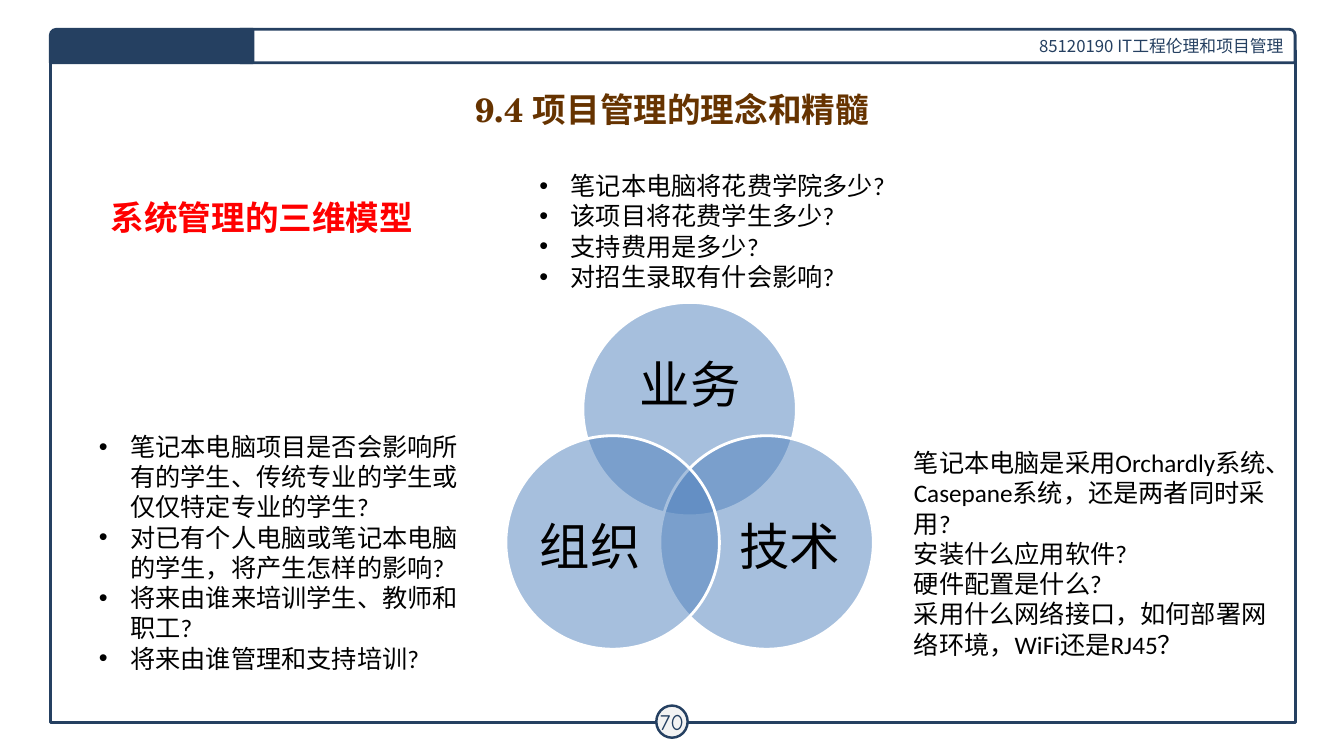
"""Build the slide on the three-sphere model of systems management."""
import math

import lxml.etree
import pptx
import pptx.dml.color
import pptx.enum.shapes
import pptx.enum.text
import pptx.oxml.ns
import pptx.util

Cm = pptx.util.Cm
Pt = pptx.util.Pt
qn = pptx.oxml.ns.qn
KIND = pptx.enum.shapes.MSO_SHAPE
ALIGN = pptx.enum.text.PP_ALIGN
FIT = pptx.enum.text.MSO_AUTO_SIZE
MID = pptx.enum.text.MSO_ANCHOR.MIDDLE
TOP = pptx.enum.text.MSO_ANCHOR.TOP

HUE = {"navy": "254061", "white": "FFFFFF", "pale": "F3F3F3", "brown": "663300",
       "blue": "4F81BD", "black": "000000", "red": "FF0000"}
HAN = "Noto Sans CJK SC"
BODY = {"name": "Calibri", "size": Pt(18), "bold": False}
WORD = {"name": "Calibri", "size": Pt(36), "bold": False}
HEAD = {"name": "TeX Gyre Schola", "size": Pt(24), "bold": True}
NOTE = {"name": "Calibri", "size": Pt(24), "bold": True}
RUN = {"name": HAN, "size": Pt(12), "bold": False}
PAGE = {"name": "Comic Neue", "size": Pt(16), "bold": False}

COST = ["笔记本电脑将花费学院多少?", "该项目将花费学生多少?",
        "支持费用是多少?", "对招生录取有什会影响?"]
STAFF = ["笔记本电脑项目是否会影响所有的学生、传统专业的学生或仅仅特定专业的学生?",
         "对已有个人电脑或笔记本电脑的学生，将产生怎样的影响?",
         "将来由谁来培训学生、教师和职工?", "将来由谁管理和支持培训?"]
TECH = ["笔记本电脑是采用Orchardly系统、Casepane系统，还是两者同时采用?",
        "安装什么应用软件?", "硬件配置是什么?",
        "采用什么网络接口，如何部署网络环境，WiFi还是RJ45？"]
VENN = [("业务", -90, (15.42, 8.56, 3.94, 2.41)),
        ("技术", 30, (18.29, 12.37, 3.23, 2.95)),
        ("组织", 150, (13.26, 12.37, 3.23, 2.95))]


def rgb(hue):
    """Return the named colour."""
    return pptx.dml.color.RGBColor.from_string(HUE[hue])


def place(shape, area):
    """Move and size a shape in centimetres."""
    for key, val in zip(("left", "top", "width", "height"), area):
        setattr(shape, key, Cm(val))


def bullet(para):
    """Give a paragraph a hanging round bullet."""
    props = para._p.get_or_add_pPr()
    props.set("marL", str(Cm(0.79)))
    props.set("indent", str(-Cm(0.79)))
    lxml.etree.SubElement(props, qn("a:buFont"), typeface="Arial")
    lxml.etree.SubElement(props, qn("a:buChar"), char="•")


def write(shape, lines, look, hue, align=ALIGN.LEFT, anchor=TOP, inset=None,
          fit=FIT.NONE, wrap=True, dots=False, lead=1.0):
    """Fill a shape with formatted paragraphs."""
    frame = shape.text_frame
    frame.word_wrap, frame.auto_size, frame.vertical_anchor = wrap, fit, anchor
    if inset is not None:
        for side in ("left", "top", "right", "bottom"):
            setattr(frame, "margin_" + side, Cm(inset))
    for i, line in enumerate(lines):
        para = frame.add_paragraph() if i else frame.paragraphs[0]
        para.alignment, para.line_spacing = align, lead
        para.space_before = Pt(0)
        if dots:
            bullet(para)
        run = para.add_run()
        run.text = line
        for key, val in look.items():
            setattr(run.font, key, val)
        run.font.color.rgb = rgb(hue)
        lxml.etree.SubElement(run._r.rPr, qn("a:ea"), typeface=HAN)


def draw(shapes, kind, area, fill, line, width):
    """Add a preset shape with a fill and an outline."""
    shape = shapes.add_shape(kind, *map(Cm, area))
    shape.shadow.inherit = False
    if fill:
        shape.fill.solid()
        shape.fill.fore_color.rgb = rgb(fill)
    else:
        shape.fill.background()
    shape.line.color.rgb = rgb(line)
    shape.line.width = Pt(width)
    return shape


def label(shapes, area, lines, look, hue, **opts):
    """Add a text box."""
    write(shapes.add_textbox(*map(Cm, area)), lines, look, hue, **opts)


def border(shapes):
    """Draw the page frame, header bar and page number."""
    draw(shapes, KIND.RECTANGLE, (1.27, 1.27, 31.37, 16.94), None, "navy", 2)
    bar = draw(shapes, KIND.ROUND_1_RECTANGLE, (6.05, 0.74, 26.59, 0.84),
               "white", "navy", 2)
    write(bar, ["85120190 IT工程伦理和项目管理"], RUN, "navy", ALIGN.RIGHT, MID)
    disc = draw(shapes, KIND.OVAL, (16.54, 17.78, 0.79, 0.81), "pale", "navy", 1.75)
    write(disc, ["70"], PAGE, "navy", ALIGN.CENTER, MID, 0.1, wrap=False)
    tab = draw(shapes, KIND.ROUND_1_RECTANGLE, (1.27, 0.74, 5.11, 0.84),
               "navy", "navy", 2)
    tab.adjustments[0] = 0.175
    tab._element.spPr.xfrm.set("flipH", "1")


def venn(shapes):
    """Draw three clear circles evenly round a centre."""
    size, reach, mid_x, mid_y = 5.38, 2.24, 17.38, 12.55
    for word, turn, area in VENN:
        left = mid_x + reach * math.cos(math.radians(turn)) - size / 2
        top = mid_y + reach * math.sin(math.radians(turn)) - size / 2
        disc = draw(shapes, KIND.OVAL, (left, top, size, size), "blue", "white", 2)
        tint = disc._element.spPr.find(qn("a:solidFill"))[0]
        lxml.etree.SubElement(tint, qn("a:alpha"), val="50000")
        label(shapes, area, [word], WORD, "black", align=ALIGN.CENTER,
              anchor=MID, inset=0, lead=0.9)


def main():
    """Build and save the slide."""
    deck = pptx.Presentation()
    deck.slide_width, deck.slide_height = Cm(33.87), Cm(19.05)
    slide = deck.slides.add_slide(deck.slide_layouts[3])
    shapes = slide.shapes
    border(shapes)
    place(shapes.title, (1.7, 2.13, 30.48, 1.22))
    write(shapes.title, ["9.4 项目管理的理念和精髓"], HEAD, "brown",
          ALIGN.CENTER, MID)
    venn(shapes.add_group_shape().shapes)
    lists = [(1, (13.34, 4.17, 10.77, 3.33), COST),
             (2, (2.24, 10.74, 9.96, 6.4), STAFF)]
    for slot, area, lines in lists:
        hold = slide.placeholders[slot]
        place(hold, area)
        write(hold, lines, BODY, "black", fit=FIT.SHAPE_TO_FIT_TEXT, dots=True)
    label(shapes, (22.78, 11.15, 9.42, 5.64), TECH, BODY, "black",
          fit=FIT.SHAPE_TO_FIT_TEXT)
    label(shapes, (2.54, 4.83, 8.71, 1.27), ["系统管理的三维模型"], NOTE, "red",
          fit=FIT.SHAPE_TO_FIT_TEXT)
    deck.save("out.pptx")


if __name__ == "__main__":
    main()
